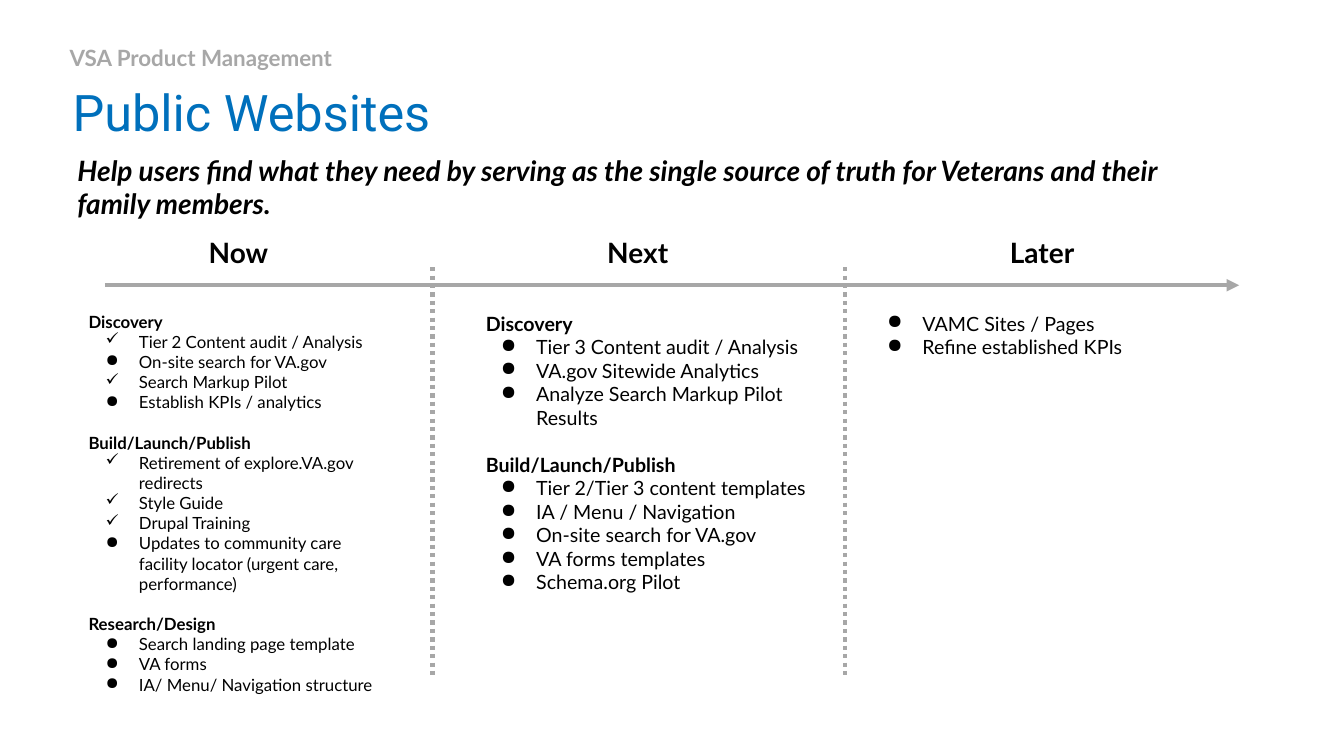
from lxml import etree
from pptx import Presentation
from pptx.dml.color import RGBColor
from pptx.enum.dml import MSO_LINE
from pptx.enum.shapes import MSO_CONNECTOR
from pptx.enum.text import MSO_ANCHOR, MSO_AUTO_SIZE, PP_ALIGN
from pptx.oxml.ns import qn
from pptx.util import Inches, Pt

STRAIGHT = MSO_CONNECTOR.STRAIGHT
DOTS = MSO_LINE.ROUND_DOT
TOP, MIDDLE = MSO_ANCHOR.TOP, MSO_ANCHOR.MIDDLE
LEFT, CENTER = PP_ALIGN.LEFT, PP_ALIGN.CENTER
BLACK = RGBColor(0, 0, 0)
BLUE = RGBColor(0x00, 0x70, 0xBC)
GRAY = RGBColor(0xA7, 0xA7, 0xA7)
DONE, OPEN = "✓", "●"

NOW = [
    ("Discovery", [
        (DONE, "Tier 2 Content audit / Analysis"),
        (OPEN, "On-site search for VA.gov"),
        (DONE, "Search Markup Pilot"),
        (OPEN, "Establish KPIs / analytics")]),
    ("Build/Launch/Publish", [
        (DONE, "Retirement of explore.VA.gov redirects"),
        (DONE, "Style Guide"),
        (DONE, "Drupal Training"),
        (OPEN, "Updates to community care facility locator (urgent care, performance)")]),
    ("Research/Design", [
        (OPEN, "Search landing page template"),
        (OPEN, "VA forms"),
        (OPEN, "IA/ Menu/ Navigation structure")]),
]
NEXT = [
    ("Discovery", [
        (OPEN, "Tier 3 Content audit / Analysis"),
        (OPEN, "VA.gov Sitewide Analytics"),
        (OPEN, "Analyze Search Markup Pilot Results")]),
    ("Build/Launch/Publish", [
        (OPEN, "Tier 2/Tier 3 content templates"),
        (OPEN, "IA / Menu / Navigation"),
        (OPEN, "On-site search for VA.gov"),
        (OPEN, "VA forms templates"),
        (OPEN, "Schema.org Pilot")]),
]
LATER = [(None, [(OPEN, "VAMC Sites / Pages"), (OPEN, "Refine established KPIs")])]


def set_frame(frame, inset, anchor=TOP):
    """Set wrapping, insets and anchor of a text frame."""
    frame.word_wrap = True
    frame.auto_size = MSO_AUTO_SIZE.NONE
    frame.vertical_anchor = anchor
    frame.margin_left = frame.margin_right = Inches(inset)
    frame.margin_top = frame.margin_bottom = Inches(inset)
    return frame


def add_box(slide, box, inset=0.1, anchor=TOP):
    """Add a text box and return its frame."""
    shape = slide.shapes.add_textbox(*map(Inches, box))
    return set_frame(shape.text_frame, inset, anchor)


def add_run(para, text, size, color=BLACK, bold=False, italic=False, face="Lato"):
    """Add one styled run to a paragraph."""
    run = para.add_run()
    run.text = text
    font = run.font
    font.name, font.size, font.bold, font.italic = face, Pt(size), bold, italic
    font.color.rgb = color


def add_mark(para, mark, hang):
    """Give a paragraph a hanging bullet."""
    props = para._p.get_or_add_pPr()
    props.set("marL", str(Inches(0.5)))
    props.set("indent", str(-Inches(hang)))
    tint = etree.SubElement(props, qn("a:buClr"))
    etree.SubElement(tint, qn("a:srgbClr"), val=str(BLACK))
    etree.SubElement(props, qn("a:buChar"), char=mark)


def add_line(slide, start, end):
    """Add a gray line without a shadow."""
    line = slide.shapes.add_connector(STRAIGHT, *map(Inches, start + end))
    line.line.color.rgb = GRAY
    line.line.width = Pt(3)
    etree.SubElement(line._element.spPr, qn("a:effectLst"))
    return line.line


def add_header(slide, box):
    """Place the label, the title and the goal."""
    left, top, width, height = box
    frame = add_box(slide, (left - 0.03, top, 7.48, 0.39), 0.05, MIDDLE)
    para = frame.paragraphs[0]
    para.line_spacing = 1.2
    add_run(para, "VSA Product Management", 16, GRAY, bold=True)

    title = slide.shapes.title
    title.left, title.top = Inches(left), Inches(top + 0.4)
    title.width, title.height = Inches(11), Inches(0.66)
    para = set_frame(title.text_frame, 0.05).paragraphs[0]
    para.alignment = LEFT
    add_run(para, "Public Websites", 36, BLUE, face="Roboto")

    goal = add_box(slide, (left, top + 1.07, width, height - 1.07))
    add_run(goal.paragraphs[0],
            "Help users find what they need by serving as the single source "
            "of truth for Veterans and their family members.",
            20, bold=True, italic=True)


def add_axis(slide, box):
    """Draw the time arrow and the dotted dividers."""
    left, top, width, height = box
    arrow = add_line(slide, (left, top + 0.18), (left + width, top + 0.18))
    etree.SubElement(arrow._get_or_add_ln(), qn("a:tailEnd"), type="triangle")
    for x in (left + 3.25, left + 7.34):
        add_line(slide, (x, top), (x, top + height)).dash_style = DOTS


def add_phase(slide, name, head, box, groups, size, hang):
    """Place a phase name and its grouped list."""
    para = add_box(slide, head).paragraphs[0]
    para.alignment = CENTER
    add_run(para, name, 20, bold=True)

    frame = add_box(slide, box)
    rows = []
    for group, items in groups:
        rows += [(None, group)] if group else []
        rows += items
    for i, (mark, text) in enumerate(rows):
        para = frame.add_paragraph() if i else frame.paragraphs[0]
        if mark:
            add_mark(para, mark, hang)
        elif i:
            para.space_before = Pt(size * 1.2)
        add_run(para, text, size, bold=not mark)


def main():
    """Build the roadmap slide."""
    deck = Presentation()
    deck.slide_width, deck.slide_height = Inches(13.33), Inches(7.5)
    slide = deck.slides.add_slide(deck.slide_layouts[5])
    add_header(slide, (0.67, 0.35, 11.36, 1.89))
    add_axis(slide, (1.04, 2.65, 11.25, 4.07))
    add_phase(slide, "Now", (1.67, 2.24, 1.39, 0.5),
              (0.78, 2.99, 3.23, 3.9), NOW, 12, 0.33)
    add_phase(slide, "Next", (5.63, 2.24, 1.39, 0.5),
              (4.72, 2.99, 3.4, 3.73), NEXT, 14, 0.35)
    add_phase(slide, "Later", (9.16, 2.24, 2.35, 0.82),
              (8.55, 2.99, 3.48, 3.59), LATER, 14, 0.35)
    deck.save("out.pptx")


if __name__ == "__main__":
    main()
